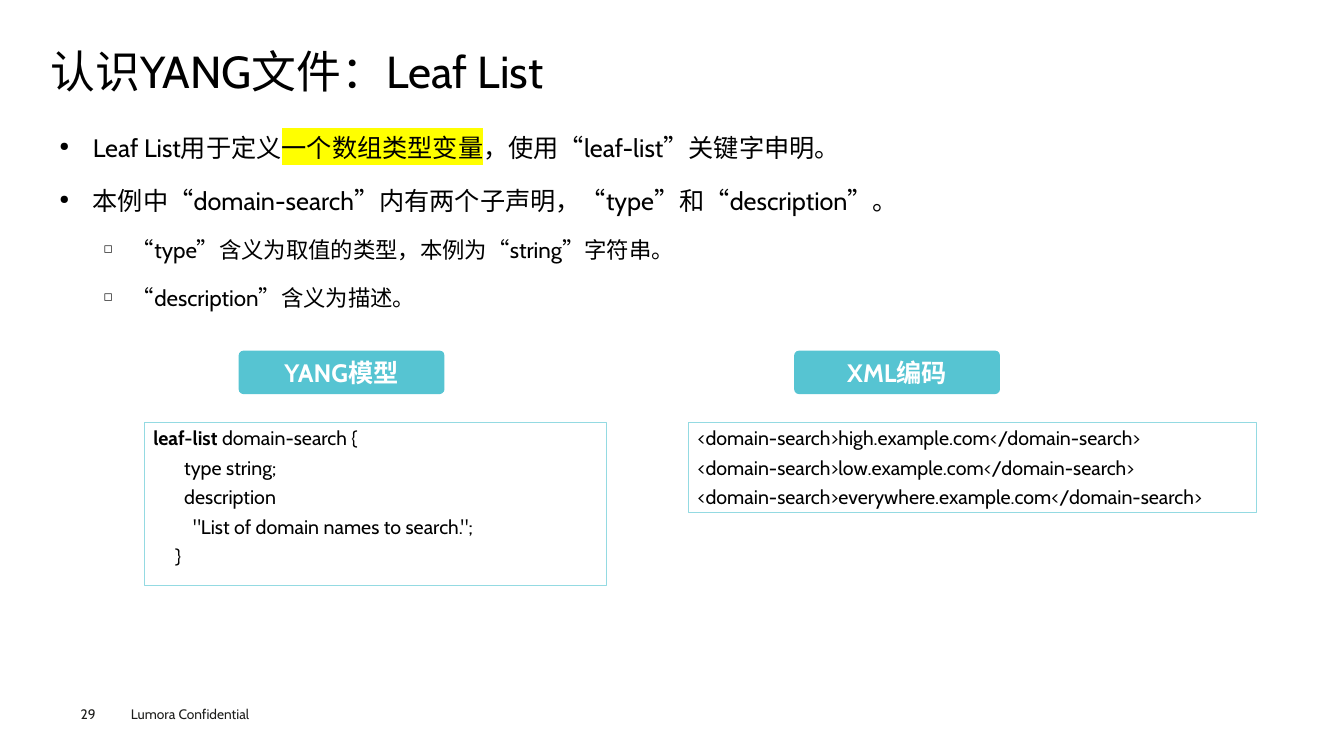
from dataclasses import dataclass

import pptx
import pptx.dml.color
import pptx.enum.lang
import pptx.enum.shapes
import pptx.enum.text
import pptx.oxml
import pptx.oxml.ns
import pptx.util
from lxml import etree

Pt = pptx.util.Pt
ALIGN = pptx.enum.text.PP_ALIGN
ANCHOR = pptx.enum.text.MSO_ANCHOR
SHAPE = pptx.enum.shapes.MSO_SHAPE


@dataclass(frozen=True)
class Theme:
    font: str = "Cabin"
    ink: str = "000000"
    footer_ink: str = "1D1D1B"
    label_ink: str = "FFFFFF"
    label_fill: str = "56C4D2"
    code_line: str = "94DAE2"
    highlight: str = "FFFF00"
    title_size: float = 32
    body_size: float = 18
    sub_size: float = 16
    code_size: float = 14
    footer_size: float = 9.8


THEME = Theme()


def rgb(value):
    return pptx.dml.color.RGBColor.from_string(value)


def add_element(parent, tag, **attributes):
    element = etree.SubElement(parent, pptx.oxml.ns.qn(tag))
    for name, value in attributes.items():
        element.set(name, value)
    return element


def add_bullet(paragraph, character, indent, hanging):
    properties = paragraph._p.get_or_add_pPr()
    properties.set("marL", str(Pt(indent)))
    properties.set("indent", str(-Pt(hanging)))
    add_element(properties, "a:buSzPct", val="50000")
    add_element(properties, "a:buChar", char=character)


def highlight_run(run, color):
    mark = etree.Element(pptx.oxml.ns.qn("a:highlight"))
    add_element(mark, "a:srgbClr", val=color)
    run._r.rPr.find(pptx.oxml.ns.qn("a:solidFill")).addnext(mark)


def write_paragraph(frame, text, size, color=THEME.ink, bold=False, align=None,
                    line_spacing=None, space_before=0, bullet=None, level=0):
    """Text is a string, or a list of (string, style) with style None, bold or highlight."""
    paragraph = frame.paragraphs[0]
    if paragraph.runs:
        paragraph = frame.add_paragraph()
        paragraph.space_before = Pt(space_before)
    else:
        paragraph.space_before = Pt(0)
    paragraph.level = level
    if bullet:
        add_bullet(paragraph, *bullet)
    paragraph.alignment = align
    paragraph.line_spacing = line_spacing
    for words, style in [(text, None)] if isinstance(text, str) else text:
        run = paragraph.add_run()
        run.text = words
        run.font.size = Pt(size)
        run.font.name = THEME.font
        run.font.bold = bold or style == "bold"
        run.font.color.rgb = rgb(color)
        run.font.language_id = pptx.enum.lang.MSO_LANGUAGE_ID.SIMPLIFIED_CHINESE
        if style == "highlight":
            highlight_run(run, THEME.highlight)


def set_frame(shape, horizontal, vertical, anchor=ANCHOR.TOP):
    frame = shape.text_frame
    frame.word_wrap = True
    frame.vertical_anchor = anchor
    frame.margin_left = frame.margin_right = Pt(horizontal)
    frame.margin_top = frame.margin_bottom = Pt(vertical)
    return frame


def add_text_frame(slide, box, horizontal=0, vertical=0):
    return set_frame(slide.shapes.add_textbox(*map(Pt, box)), horizontal, vertical)


def add_panel(slide, kind, box, fill=None, line=None):
    shape = slide.shapes.add_shape(kind, *map(Pt, box))
    shape.shadow.inherit = False
    if fill:
        shape.fill.solid()
        shape.fill.fore_color.rgb = rgb(fill)
    else:
        shape.fill.background()
    if line:
        shape.line.color.rgb = rgb(line)
        shape.line.width = Pt(0.75)
    else:
        shape.line.fill.background()
    return shape


# Heading
def build_title(slide, box, text):
    frame = add_text_frame(slide, box)
    write_paragraph(frame, text, THEME.title_size, line_spacing=0.9)


# Two-level list of points
def build_points(slide, box, points):
    frame = add_text_frame(slide, box, 6.5, 3)
    for level, text in points:
        if level == 0:
            write_paragraph(frame, text, THEME.body_size, align=ALIGN.JUSTIFY,
                            line_spacing=1.4, space_before=7.9,
                            bullet=("●", 23.8, 23.8))
        else:
            write_paragraph(frame, text, THEME.sub_size, level=1,
                            line_spacing=1.4, space_before=7.2,
                            bullet=("◻", 51.8, 20.2))


# Code example: a label above a framed listing
def build_example(slide, box, label, label_offset, lines):
    left, top, width, height = box
    label_height, listing_top = 31, 51
    tag = add_panel(slide, SHAPE.ROUNDED_RECTANGLE,
                    (left + label_offset, top, 147, label_height),
                    fill=THEME.label_fill)
    tag.adjustments[0] = 0.11
    write_paragraph(set_frame(tag, 7.2, 3.6, ANCHOR.MIDDLE), label, THEME.body_size,
                    color=THEME.label_ink, bold=True, align=ALIGN.CENTER)

    listing = add_panel(slide, SHAPE.RECTANGLE,
                        (left, top + listing_top, width, height - listing_top),
                        line=THEME.code_line)
    frame = set_frame(listing, 6.5, 3)
    for line in lines:
        write_paragraph(frame, line, THEME.code_size, align=ALIGN.JUSTIFY,
                        space_before=0.3 * THEME.code_size)


# Page number and notice
def build_footer(slide, box, number, notice):
    left, top, width, height = box
    number_frame = add_text_frame(slide, (left, top + 3.6, 36, height - 7.2))
    notice_frame = add_text_frame(slide, (left + 28.8, top, width - 28.8, height), 7.2, 3.6)
    for frame, text in ((number_frame, number), (notice_frame, notice)):
        write_paragraph(frame, text, THEME.footer_size, color=THEME.footer_ink)


def main():
    presentation = pptx.Presentation()
    presentation.slide_width, presentation.slide_height = Pt(960), Pt(540)
    slide = presentation.slides.add_slide(presentation.slide_layouts[6])

    build_title(slide, (36, 35.3, 889, 38), "认识YANG文件：Leaf List")
    build_points(slide, (36, 82.8, 889, 160), [
        (0, [("Leaf List用于定义", None), ("一个数组类型变量", "highlight"),
             ("，使用“leaf-list”关键字申明。", None)]),
        (0, "本例中“domain-search”内有两个子声明，“type”和“description”。"),
        (1, "“type”含义为取值的类型，本例为“string”字符串。"),
        (1, "“description”含义为描述。"),
    ])
    build_example(slide, (103, 250.5, 330.5, 167.5), "YANG模型", 67.5, [
        [("leaf-list", "bold"), (" domain-search {", None)],
        "       type string;",
        "       description",
        "         \"List of domain names to search.\";",
        "     }",
    ])
    hosts = ("high", "low", "everywhere")
    build_example(slide, (491.8, 250.5, 405.4, 115.5), "XML编码", 75.5, [
        f"<domain-search>{host}.example.com</domain-search>" for host in hosts
    ])
    build_footer(slide, (57.6, 500.4, 144, 19.2), "29", "Lumora Confidential")
    presentation.save("out.pptx")


if __name__ == "__main__":
    main()
